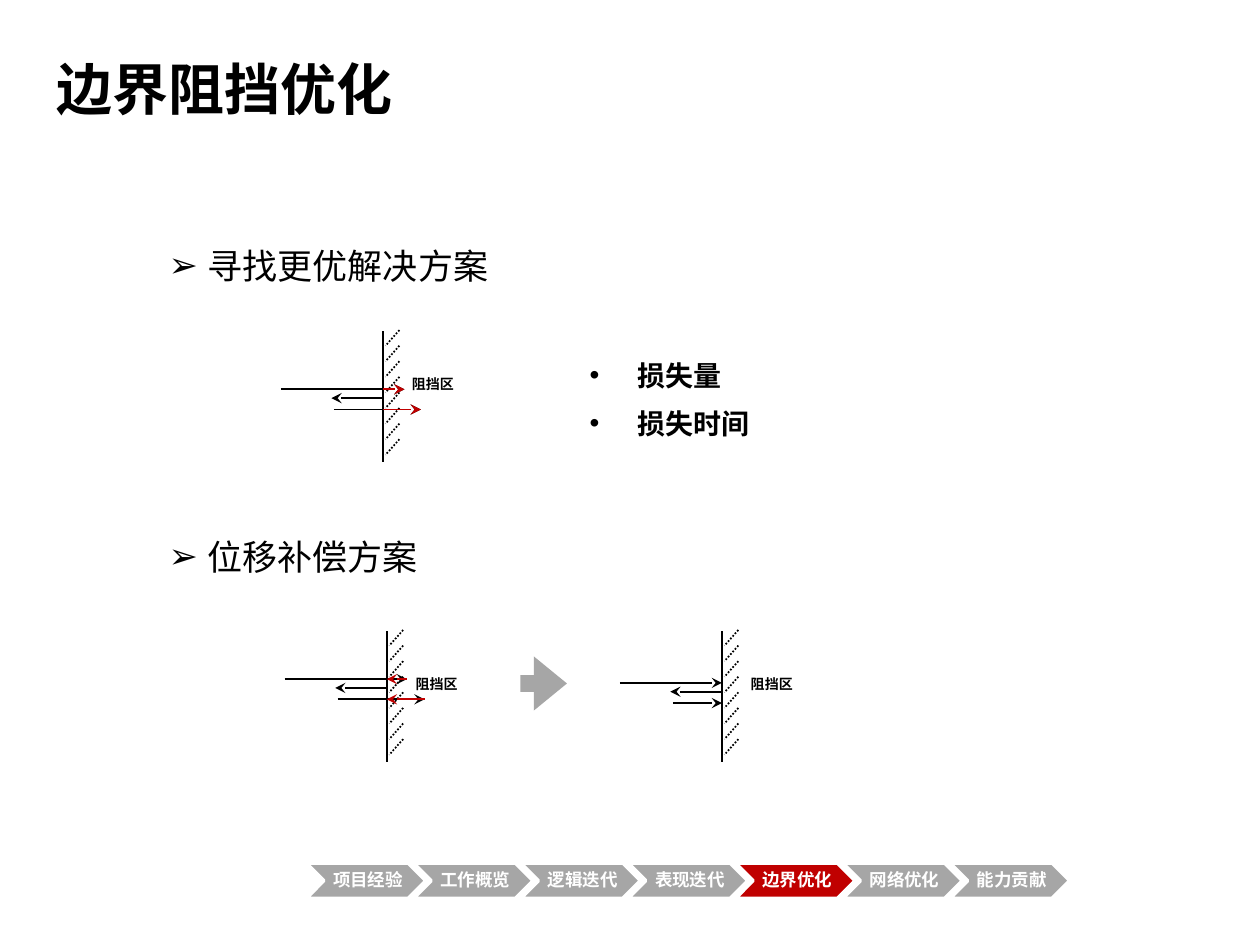
import pptx
import pptx.util
import pptx.dml.color
import pptx.enum.dml
import pptx.enum.shapes
import pptx.enum.text
import pptx.oxml.ns
from lxml import etree

Inches, Pt = pptx.util.Inches, pptx.util.Pt
RGBColor = pptx.dml.color.RGBColor
SHAPE = pptx.enum.shapes.MSO_SHAPE
MIDDLE = pptx.enum.text.MSO_ANCHOR.MIDDLE
qn = pptx.oxml.ns.qn

BLACK = RGBColor(0x00, 0x00, 0x00)
WHITE = RGBColor(0xFF, 0xFF, 0xFF)
RED = RGBColor(0xC0, 0x00, 0x00)
GRAY = RGBColor(0xA6, 0xA6, 0xA6)
CJK_FONT = "Noto Sans CJK SC"
NAV_FONT = "Times New Roman"

TITLE = "边界阻挡优化"
HEADINGS = [("寻找更优解决方案", 1.81, 1.61), ("位移补偿方案", 4.12, 0.66)]
LOSSES = ["损失量", "损失时间"]
WALL_LABEL = "阻挡区"
STEPS = ["项目经验", "工作概览", "逻辑迭代", "表现迭代", "边界优化", "网络优化", "能力贡献"]
CURRENT_STEP = "边界优化"

WALLS = [(3.04, 2.63), (3.07, 5.01), (5.73, 5.01)]
WALL_HEIGHT = 1.04
HATCH_COUNT = 8
HATCH_PITCH = 0.99 / HATCH_COUNT
MOVES = [
    (2.23, 3.21, 3.09, BLACK),
    (3.04, 2.63, 3.16, BLACK),
    (2.65, 3.34, 3.25, BLACK),
    (3.04, 3.21, 3.09, RED),
    (3.04, 3.34, 3.25, RED),
    (2.26, 3.23, 5.39, BLACK),
    (3.07, 2.66, 5.46, BLACK),
    (2.68, 3.37, 5.55, BLACK),
    (3.23, 3.07, 5.39, RED),
    (3.37, 3.07, 5.55, RED),
    (4.92, 5.73, 5.42, BLACK),
    (5.73, 5.32, 5.49, BLACK),
    (5.34, 5.73, 5.58, BLACK),
]
NAV_LEFT, NAV_LAST, NAV_TOP = 2.43, 7.54, 6.85


def style_text(paragraph, size, color=BLACK, bold=False, font=CJK_FONT):
    for run in paragraph.runs:
        run.font.name = font
        run.font.size = Pt(size)
        run.font.bold = bold
        run.font.color.rgb = color
        etree.SubElement(run.font._element, qn("a:ea")).set("typeface", CJK_FONT)


def add_text(shapes, box, lines, size, bold=False):
    frame = shapes.add_textbox(*map(Inches, box)).text_frame
    frame.word_wrap = True
    frame.text = "\n".join(lines)
    for paragraph in frame.paragraphs:
        style_text(paragraph, size, bold=bold)
    return frame


def add_bullets(frame, mark, margin, hanging, size):
    for paragraph in frame.paragraphs:
        paragraph.line_spacing = 1.25
        paragraph.space_before = Pt(size * 0.2)
        properties = paragraph._p.get_or_add_pPr()
        properties.set("marL", str(Inches(margin)))
        properties.set("indent", str(-Inches(hanging)))
        etree.SubElement(properties, qn("a:buFont")).set("typeface", "Arial")
        etree.SubElement(properties, qn("a:buChar")).set("char", mark)


def add_line(shapes, start, end, color=BLACK, dotted=False, arrow=False):
    line = shapes.add_connector(
        pptx.enum.shapes.MSO_CONNECTOR.STRAIGHT, *map(Inches, start + end))
    line.line.color.rgb = color
    line.line.width = Pt(1)
    if dotted:
        line.line.dash_style = pptx.enum.dml.MSO_LINE.ROUND_DOT
    if arrow:
        etree.SubElement(line.line._get_or_add_ln(), qn("a:tailEnd")).set("type", "stealth")
    etree.SubElement(line._element.spPr, qn("a:effectLst"))


def add_wall(slide, x, y):
    wall = slide.shapes.add_group_shape().shapes
    add_line(wall, (x, y), (x, y + WALL_HEIGHT))
    for i in range(HATCH_COUNT):
        top = y - 0.01 + i * HATCH_PITCH
        add_line(wall, (x + 0.13, top), (x + 0.02, top + HATCH_PITCH), dotted=True)
    add_text(wall, (x + 0.13, y + 0.3, 0.68, 0.2), [WALL_LABEL], 8, bold=True)


def add_block(slide, preset, box, color):
    block = slide.shapes.add_shape(preset, *map(Inches, box))
    block.shadow.inherit = False
    block.fill.solid()
    block.fill.fore_color.rgb = color
    block.line.fill.background()
    return block


def add_step(slide, index, label):
    left = NAV_LEFT + index * (NAV_LAST - NAV_LEFT) / (len(STEPS) - 1)
    color = RED if label == CURRENT_STEP else GRAY
    step = add_block(slide, SHAPE.CHEVRON, (left, NAV_TOP, 0.95, 0.28), color)
    step.line.color.rgb = WHITE
    step.line.width = Pt(2)
    frame = step.text_frame
    frame.margin_left = Inches(0.04)
    frame.margin_right = frame.margin_top = frame.margin_bottom = Inches(0.01)
    frame.vertical_anchor = MIDDLE
    frame.word_wrap = False
    frame.text = label
    paragraph = frame.paragraphs[0]
    paragraph.alignment = pptx.enum.text.PP_ALIGN.CENTER
    paragraph.line_spacing = 0.9
    style_text(paragraph, 10, WHITE, True, NAV_FONT)


def main():
    deck = pptx.Presentation()
    deck.slide_width, deck.slide_height = Inches(10), Inches(7.5)
    slide = deck.slides.add_slide(deck.slide_layouts[6])

    title = add_text(slide.shapes, (0.35, 0.24, 6.57, 0.92), [TITLE], 32, bold=True)
    title.vertical_anchor = MIDDLE
    for heading, top, height in HEADINGS:
        frame = add_text(slide.shapes, (1.24, top, 5.21, height), [heading], 20)
        add_bullets(frame, "➢", 0.31, 0.31, 20)
    losses = add_text(slide.shapes, (3.84, 2.73, 3.35, 1.2), LOSSES, 16, bold=True)
    add_bullets(losses, "•", 1.12, 0.38, 16)

    for x, y in WALLS:
        add_wall(slide, x, y)
    for start, end, y, color in MOVES:
        add_line(slide.shapes, (start, y), (end, y), color, arrow=True)

    result_arrow = add_block(slide, SHAPE.RIGHT_ARROW, (4.13, 5.21, 0.37, 0.43), GRAY)
    result_arrow.adjustments[0] = 0.31
    result_arrow.adjustments[1] = 0.71

    for index, label in enumerate(STEPS):
        add_step(slide, index, label)
    deck.save("out.pptx")


if __name__ == "__main__":
    main()
